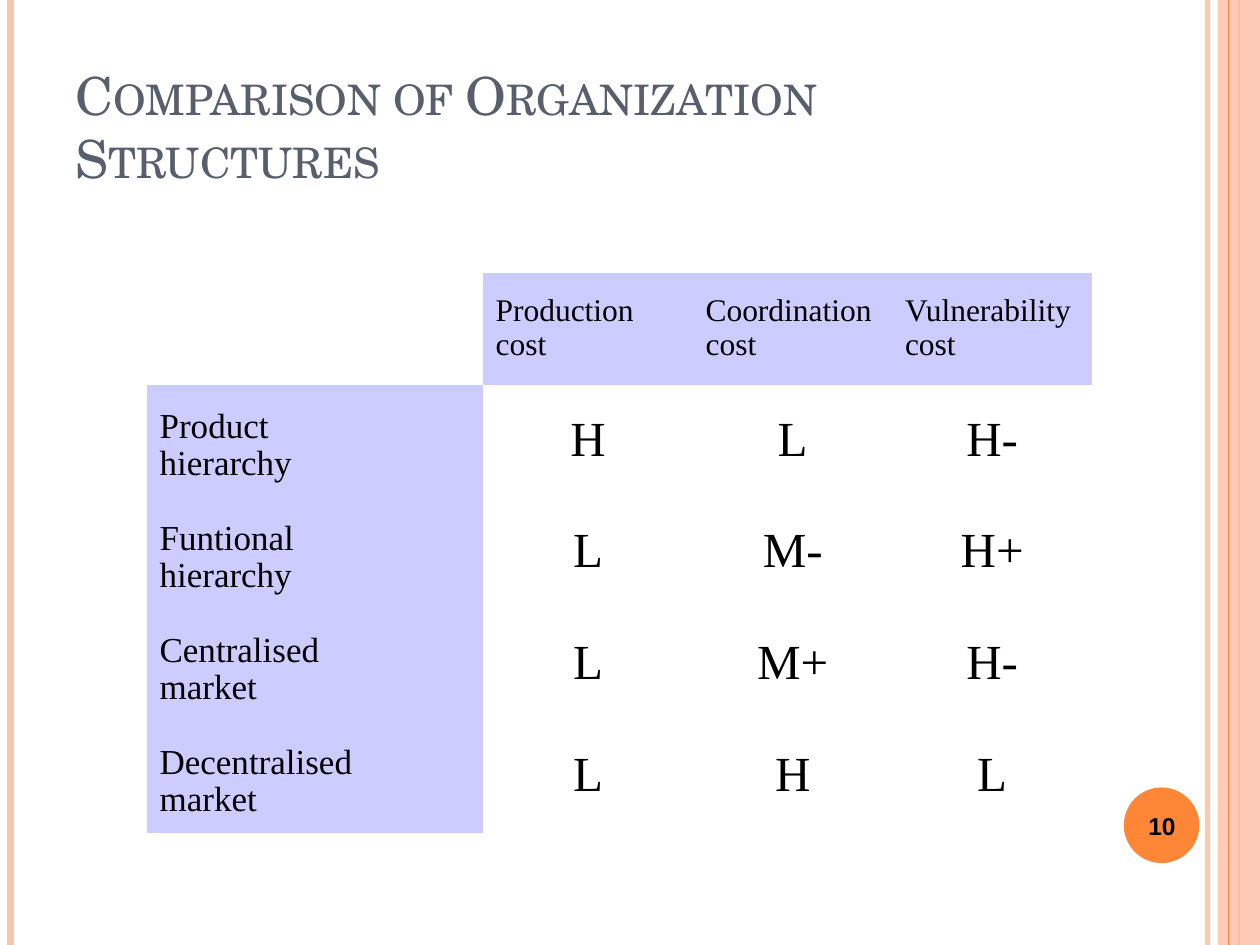
from lxml import etree
from pptx import Presentation
from pptx.dml.color import RGBColor
from pptx.enum.shapes import MSO_CONNECTOR, MSO_SHAPE
from pptx.enum.text import MSO_ANCHOR, PP_ALIGN
from pptx.oxml.ns import qn
from pptx.util import Pt

STRAIGHT = MSO_CONNECTOR.STRAIGHT
RECTANGLE, OVAL = MSO_SHAPE.RECTANGLE, MSO_SHAPE.OVAL
LEFT, CENTER = PP_ALIGN.LEFT, PP_ALIGN.CENTER
MIDDLE, BOTTOM = MSO_ANCHOR.MIDDLE, MSO_ANCHOR.BOTTOM

WIDTH, HEIGHT = 720, 540
NO_TABLE_STYLE = "{2D5ABB26-0587-4C30-8999-92F81FD0307C}"
COLORS = {"peach": "FEC3AE", "orange": "FE8637", "slate": "575F6D",
          "lavender": "CCCCFF", "black": "000000"}


class SlideBuilder:
    """Holds the style and the current slide."""

    title_font, number_font, table_font = "TeX Gyre Schola", "Arial", "Times New Roman"

    def __init__(self, slide):
        self.slide = slide

    def color(self, name):
        return RGBColor.from_string(COLORS[name])

    def set_alpha(self, shape, percent):
        color = next(shape._element.spPr.iter(qn("a:srgbClr")))
        etree.SubElement(color, qn("a:alpha"), val=str(percent * 1000))

    def vertical_line(self, x, color, width, alpha=100):
        line = self.slide.shapes.add_connector(STRAIGHT, Pt(x), 0, Pt(x), Pt(HEIGHT))
        line.line.color.rgb = self.color(color)
        line.line.width = Pt(width)
        if alpha < 100:
            self.set_alpha(line, alpha)
        etree.SubElement(line._element.spPr, qn("a:effectLst"))

    def shape(self, kind, box, color, alpha=100):
        shape = self.slide.shapes.add_shape(kind, *map(Pt, box))
        shape.shadow.inherit = False
        shape.fill.solid()
        shape.fill.fore_color.rgb = self.color(color)
        shape.line.fill.background()
        if alpha < 100:
            self.set_alpha(shape, alpha)

    def run(self, paragraph, text, font, size, color, bold=False):
        run = paragraph.add_run()
        run.text = text
        run.font.name = font
        run.font.size = Pt(size)
        run.font.bold = bold
        run.font.color.rgb = self.color(color)
        return run

    def text(self, box, text, font, size, color, align, anchor, bold=False):
        frame = self.slide.shapes.add_textbox(*map(Pt, box)).text_frame
        frame.word_wrap = True
        frame.vertical_anchor = anchor
        paragraph = frame.paragraphs[0]
        paragraph.alignment = align
        return self.run(paragraph, text, font, size, color, bold)

    def cell(self, cell, lines, size, top, align=LEFT, fill=None):
        if fill:
            cell.fill.solid()
            cell.fill.fore_color.rgb = self.color(fill)
        else:
            cell.fill.background()
        cell.margin_top = Pt(top)
        frame = cell.text_frame
        for index, line in enumerate(lines):
            paragraph = frame.add_paragraph() if index else frame.paragraphs[0]
            paragraph.alignment = align
            paragraph.line_spacing = 0.74
            paragraph.space_before = Pt(size / 4)
            self.run(paragraph, line, self.table_font, size, "black")

    def table(self, left, top, widths, row_height, headers, rows):
        row_count = len(rows) + 1
        frame = self.slide.shapes.add_table(
            row_count, len(widths), Pt(left), Pt(top),
            Pt(sum(widths)), Pt(row_height * row_count))
        table = frame.table
        table.first_row = table.horz_banding = False
        next(table._tbl.iter(qn("a:tableStyleId"))).text = NO_TABLE_STYLE
        for column, width in zip(table.columns, widths):
            column.width = Pt(width)
        for row in table.rows:
            row.height = Pt(row_height)
        table.cell(0, 0).fill.background()
        for column, lines in enumerate(headers, 1):
            self.cell(table.cell(0, column), lines, 18, 16, fill="lavender")
        for row, (label, ratings) in enumerate(rows, 1):
            self.cell(table.cell(row, 0), label, 20, 17.3, fill="lavender")
            for column, rating in enumerate(ratings, 1):
                self.cell(table.cell(row, column), [rating], 28, 22.3, CENTER)


presentation = Presentation()
presentation.slide_width, presentation.slide_height = Pt(WIDTH), Pt(HEIGHT)
builder = SlideBuilder(presentation.slides.add_slide(presentation.slide_layouts[6]))

# Side stripes
builder.vertical_line(690, "peach", 3, alpha=93)
builder.vertical_line(6, "peach", 4.5)
builder.vertical_line(708, "orange", 1.5)
builder.shape(RECTANGLE, (696, 0, 24, HEIGHT), "peach", alpha=87)
builder.vertical_line(702, "orange", 0.75)

# Title
title = builder.text((36, 21.6, 588, 90), "Comparison of Organization Structures",
                     builder.title_font, 30, "slate", LEFT, BOTTOM)
title.font._element.set("cap", "small")

# Page number
builder.shape(OVAL, (642.2, 450, 43.2, 43.2), "orange")
builder.text((640, 451.4, 48, 41), "10", builder.number_font, 14, "black",
             CENTER, MIDDLE, bold=True)

# Cost comparison
headers = [(name, "cost") for name in ("Production", "Coordination", "Vulnerability")]
rows = [
    (("Product ", "hierarchy"), ("H", "L", "H-")),
    (("Funtional ", "hierarchy"), ("L", "M-", "H+")),
    (("Centralised", "market"), ("L", "M+", "H-")),
    (("Decentralised", "market"), ("L", "H", "L")),
]
builder.table(84, 156, (192, 120, 114, 114), 64, headers, rows)

presentation.save("out.pptx")
